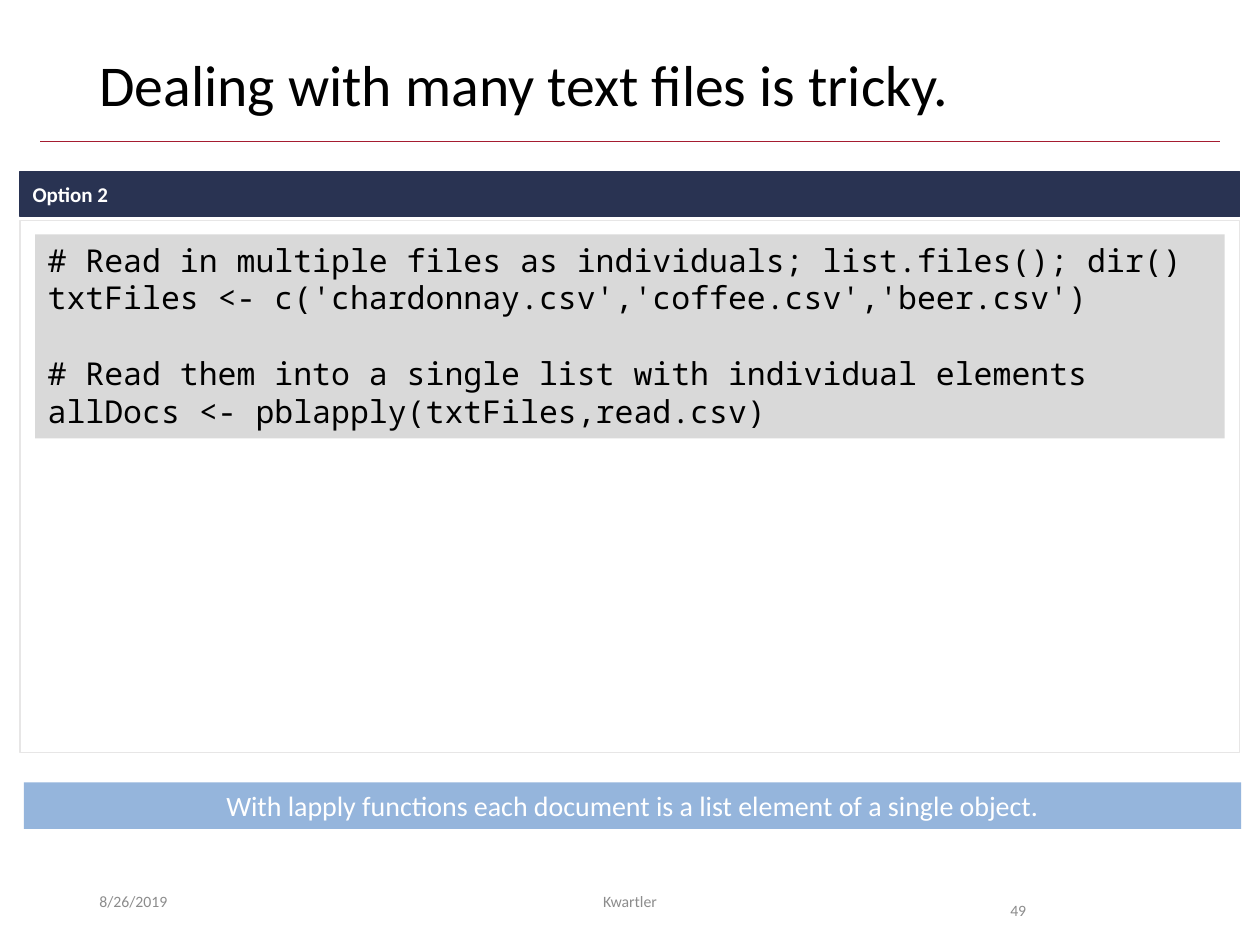
from pptx import Presentation
from pptx.dml.color import RGBColor
from pptx.enum.shapes import MSO_CONNECTOR, MSO_SHAPE
from pptx.enum.text import MSO_ANCHOR, PP_ALIGN
from pptx.util import Inches, Pt
from lxml import etree

LINE, RECT = MSO_CONNECTOR.STRAIGHT, MSO_SHAPE.RECTANGLE
TOP, MID = MSO_ANCHOR.TOP, MSO_ANCHOR.MIDDLE
LEFT, CENTER = PP_ALIGN.LEFT, PP_ALIGN.CENTER
DRAW = "http://schemas.openxmlformats.org/drawingml/2006/main"
SANS, MONO = "Calibri", "Noto Sans Mono"
WIDE, HIGH = 10, 7.5
WHITE, BLACK, GREY, NAVY = "FFFFFF", "000000", "8C8C8C", "293352"

TITLE = "Dealing with many text files is tricky."
HEAD = "Option 2"
CODE = [
    ["# Read in multiple files as individuals; list.files(); dir()",
     "txtFiles <- c('chardonnay.csv','coffee.csv','beer.csv')"],
    ["# Read them into a single list with individual elements",
     "allDocs <- pblapply(txtFiles,read.csv)"],
]
NOTE = "With lapply functions each document is a list element of a single object."
# text, left, top, width, alignment, anchor, line spacing
FOOT = [
    ("8/26/2019", 0.69, 6.95, 2.25, LEFT, MID, 1),
    ("Kwartler", 3.31, 6.95, 3.38, CENTER, MID, 1),
    ("49", 7.92, 6.95, 0.94, LEFT, TOP, 2),
]
CODE_GAP = 21.5  # one line of code, in points

deck = Presentation()
deck.slide_width, deck.slide_height = Inches(WIDE), Inches(HIGH)
slide = deck.slides.add_slide(deck.slide_layouts[6])
shapes = slide.shapes


def color(code):
    return RGBColor.from_string(code)


def span(edge):
    """Left and width of a part with equal side margins."""
    return edge, WIDE - 2 * edge


def write(shape, groups, size, ink, font=SANS, bold=False, align=LEFT,
          anchor=TOP, space=1, gap=0):
    """Fill a shape with groups of lines, parted by a gap in points."""
    frame = shape.text_frame
    frame.word_wrap = True
    frame.vertical_anchor = anchor
    para = None
    for group in groups:
        for row, text in enumerate(group):
            first = para is None
            para = frame.paragraphs[0] if first else frame.add_paragraph()
            para.alignment, para.line_spacing = align, space
            if gap and row == 0 and not first:
                para.space_before = Pt(gap)
            run = para.add_run()
            run.text = text
            run.font.name, run.font.size, run.font.bold = font, Pt(size), bold
            run.font.color.rgb = color(ink)


def text_box(left, top, width, height):
    return shapes.add_textbox(*map(Inches, (left, top, width, height)))


def panel(left, top, width, height, fill, edge=None):
    box = shapes.add_shape(RECT, *map(Inches, (left, top, width, height)))
    box.shadow.inherit = False
    box.fill.solid()
    box.fill.fore_color.rgb = color(fill)
    if edge:
        box.line.color.rgb = color(edge)
        box.line.width = Pt(0.75)
    else:
        box.line.fill.background()
    return box


left, width = span(0.32)
rule = shapes.add_connector(
    LINE, *map(Inches, (left, 1.12, left + width, 1.12)))
rule.line.color.rgb = color("A51C30")
rule.line.width = Pt(0.5)
etree.SubElement(rule._element.spPr, f"{{{DRAW}}}effectLst")

left, width = span(0.69)
write(text_box(left, 0.4, width, 0.65), [[TITLE]], 33, BLACK, space=0.9)

for text, left, top, width, align, anchor, space in FOOT:
    write(text_box(left, top, width, 0.4), [[text]], 9, GREY,
          align=align, anchor=anchor, space=space)

left, width = span(0.16)
panel(left, 1.75, width, 4.22, WHITE, "E7E6E6")
head = panel(left, 1.36, width, 0.36, NAVY, NAVY)
write(head, [[HEAD]], 12, WHITE, bold=True, anchor=MID)
frame = head.text_frame
frame.margin_top = frame.margin_bottom = Inches(0.1)

left, width = span(0.28)
write(panel(left, 1.86, width, 1.62, "D9D9D9"), CODE, 18, BLACK,
      font=MONO, gap=CODE_GAP)
write(panel(0.19, 6.21, 9.66, 0.37, "95B5DC"), [[NOTE]], 16, WHITE,
      align=CENTER)

deck.save("out.pptx")
